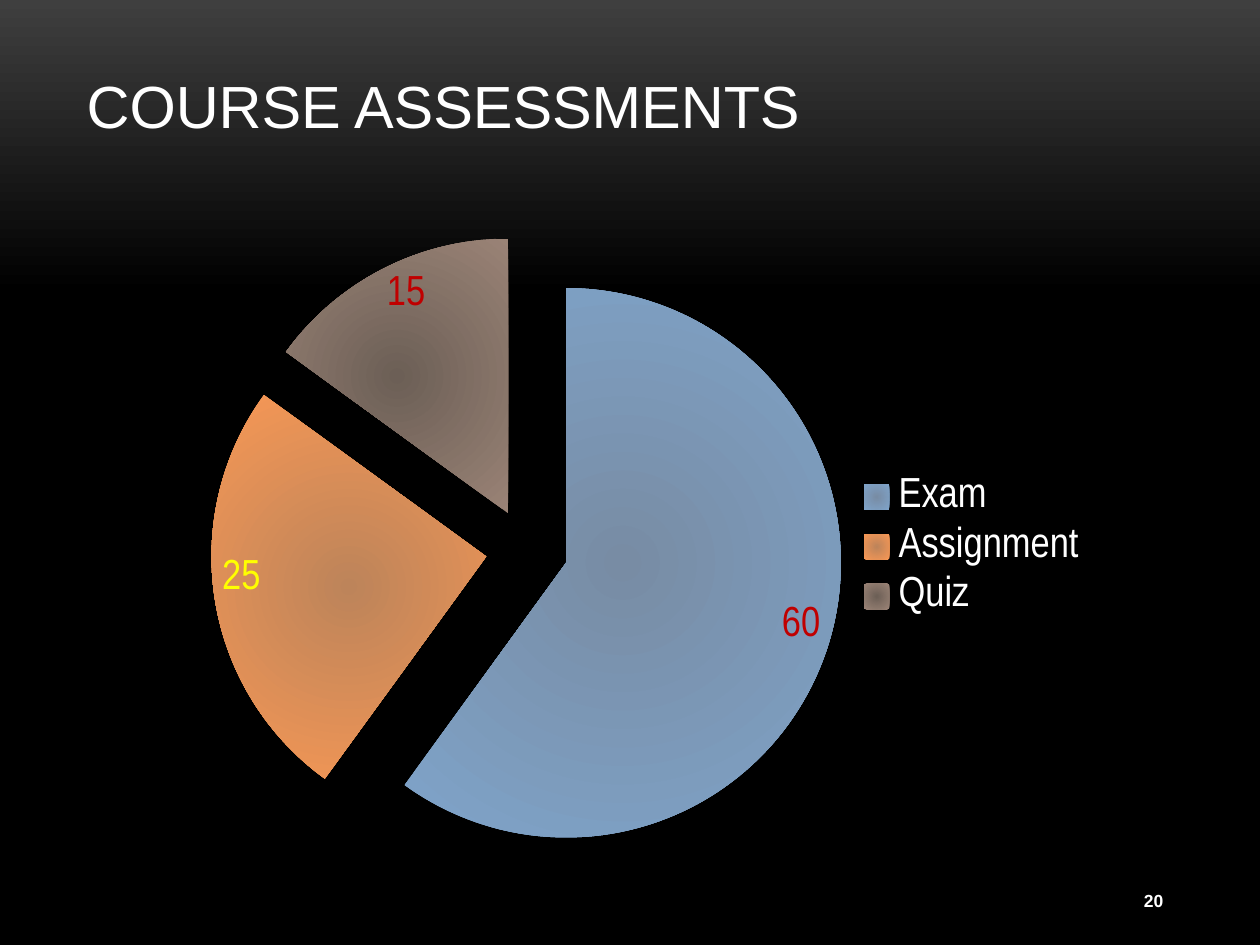
import dataclasses

import lxml.etree
import pptx
import pptx.chart.data
import pptx.dml.color
import pptx.enum.chart
import pptx.enum.text
import pptx.oxml.ns
import pptx.util

Pt = pptx.util.Pt
rgb = pptx.dml.color.RGBColor.from_string
qn = pptx.oxml.ns.qn


@dataclasses.dataclass(frozen=True)
class Theme:
    face: str = "Arial"
    narrow: str = "Arial Narrow"
    text: str = "FFFFFF"
    glow: str = "3F3F3F"
    back: str = "000000"
    red: str = "C00000"
    yellow: str = "FFFF00"
    head: int = 34
    label: int = 24
    small: int = 10


@dataclasses.dataclass(frozen=True)
class Slice:
    name: str
    value: int
    core: str
    rim: str
    ink: str


class Deck:
    def __init__(self, theme, slide):
        self.theme = theme
        self.slide = slide

    def font(self, font, face, size, color, bold=False):
        font.name, font.size, font.bold = face, Pt(size), bold
        font.color.rgb = rgb(color)

    def blend(self, fill, stops):
        """Give a fill two gradient stops, as (position, colour) pairs."""
        fill.gradient()
        for stop, (pos, color) in zip(fill.gradient_stops, stops):
            stop.position = pos
            stop.color.rgb = rgb(color)

    def back(self):
        fill = self.slide.background.fill
        self.blend(fill, [(0, self.theme.glow), (0.31, self.theme.back)])
        fill.gradient_angle = 270

    def text(self, words, box, size, align, bold=False):
        frame = self.slide.shapes.add_textbox(*map(Pt, box)).text_frame
        frame.word_wrap = True
        frame.vertical_anchor = pptx.enum.text.MSO_ANCHOR.MIDDLE
        par = frame.paragraphs[0]
        par.alignment = align
        run = par.add_run()
        run.text = words
        self.font(run.font, self.theme.face, size, self.theme.text, bold)

    def place(self, parent, index, inner, **box):
        """Fix a chart part at fractions of the chart area."""
        for old in parent.findall(qn("c:layout")):
            parent.remove(old)
        layout = lxml.etree.Element(qn("c:layout"))
        manual = lxml.etree.SubElement(layout, qn("c:manualLayout"))
        marks = {"layoutTarget": "inner"} if inner else {}
        marks |= {"xMode": "edge", "yMode": "edge"} | box
        for tag, val in marks.items():
            lxml.etree.SubElement(manual, qn("c:" + tag)).set("val", str(val))
        parent.insert(index, layout)

    def round(self, chart):
        """Turn the linear slice gradients into circular ones."""
        for line in list(chart.element.iter(qn("a:lin"))):
            ring = lxml.etree.Element(qn("a:path"))
            ring.set("path", "circle")
            rect = lxml.etree.SubElement(ring, qn("a:fillToRect"))
            for side in "ltrb":
                rect.set(side, "50000")
            line.getparent().replace(line, ring)

    def pie(self, slices, box):
        theme = self.theme
        data = pptx.chart.data.CategoryChartData(number_format="0")
        data.categories = [part.name for part in slices]
        data.add_series("Series 1", [part.value for part in slices])
        kind = pptx.enum.chart.XL_CHART_TYPE.PIE_EXPLODED
        chart = self.slide.shapes.add_chart(kind, *map(Pt, box), data).chart
        chart.has_title = False
        self.font(chart.font, theme.narrow, theme.small, theme.text)

        plot = chart.plots[0]
        plot.vary_by_categories = True
        series = plot.series[0]
        for burst in chart.element.iter(qn("c:explosion")):
            burst.set("val", "15")
        spot = pptx.enum.chart.XL_LABEL_POSITION.INSIDE_END
        labels = series.data_labels
        labels.show_value = True
        labels.position = spot
        self.font(labels.font, theme.narrow, theme.label, theme.yellow)
        for i, part in enumerate(slices):
            point = series.points[i]
            self.blend(point.format.fill, [(0, part.core), (1, part.rim)])
            point.format.line.fill.background()
            if part.ink != theme.yellow:
                label = point.data_label
                self.font(label.font, theme.narrow, theme.label, part.ink)
                label.position = spot
        self.round(chart)

        chart.has_legend = True
        legend = chart.legend
        legend.position = pptx.enum.chart.XL_LEGEND_POSITION.RIGHT
        legend.include_in_layout = False
        self.font(legend.font, theme.narrow, theme.label, theme.text)
        area = chart.element.find(".//" + qn("c:plotArea"))
        self.place(area, 0, True, x=0.09, y=0.03, w=0.59, h=0.95)
        key = chart.element.find(".//" + qn("c:legend"))
        self.place(key, 1, False, x=0.69, y=0.38, w=0.22, h=0.24)


def main():
    show = pptx.Presentation()
    show.slide_width, show.slide_height = Pt(720), Pt(540)
    theme = Theme()
    deck = Deck(theme, show.slides.add_slide(show.slide_layouts[6]))
    align = pptx.enum.text.PP_ALIGN
    deck.back()
    deck.pie(
        [
            Slice("Exam", 60, "788CA4", "7FA4CA", theme.red),
            Slice("Assignment", 25, "BD845A", "F89855", theme.yellow),
            Slice("Quiz", 15, "6C5F56", "9A8376", theme.red),
        ],
        (65.5, 122.4, 612, 380.2),
    )
    deck.text("20", (594, 500.4, 77.8, 28.8), theme.small, align.RIGHT, True)
    deck.text("COURSE ASSESSMENTS", (42.5, 15.1, 720, 90), theme.head, align.LEFT)
    show.save("out.pptx")


if __name__ == "__main__":
    main()
